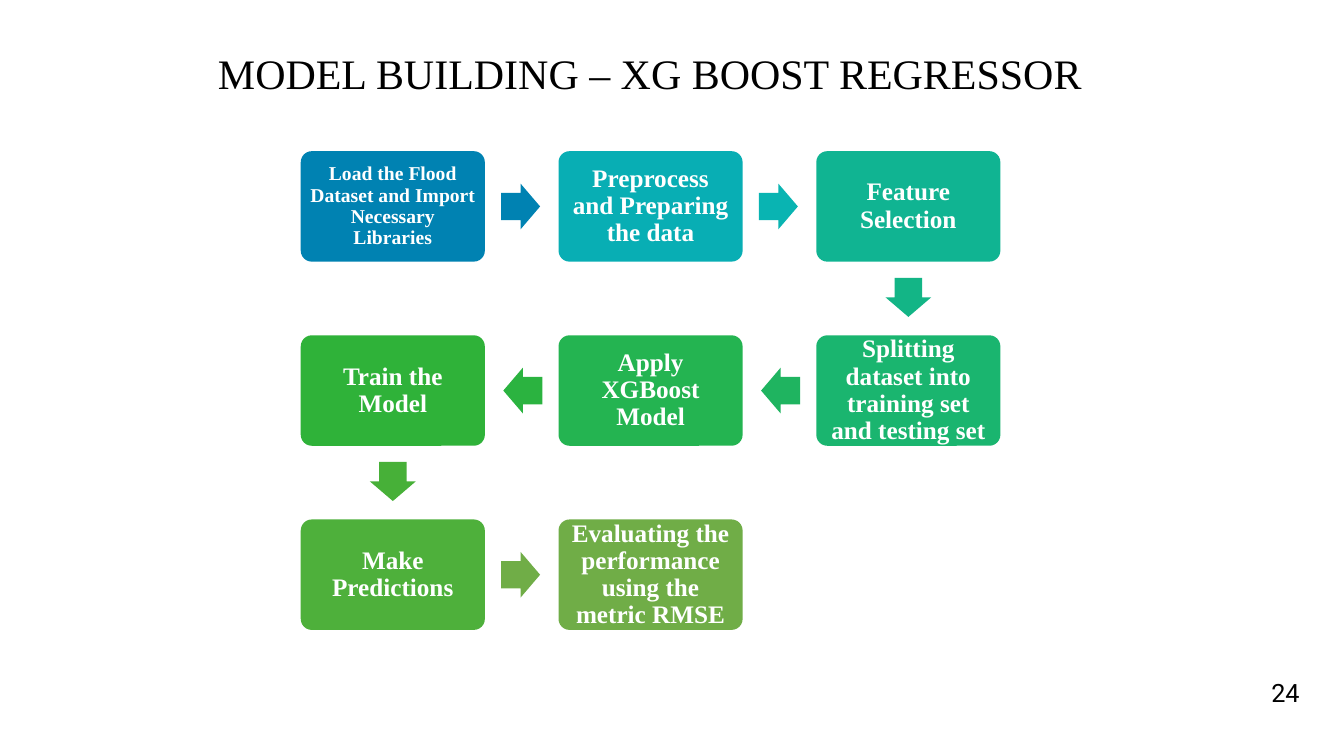
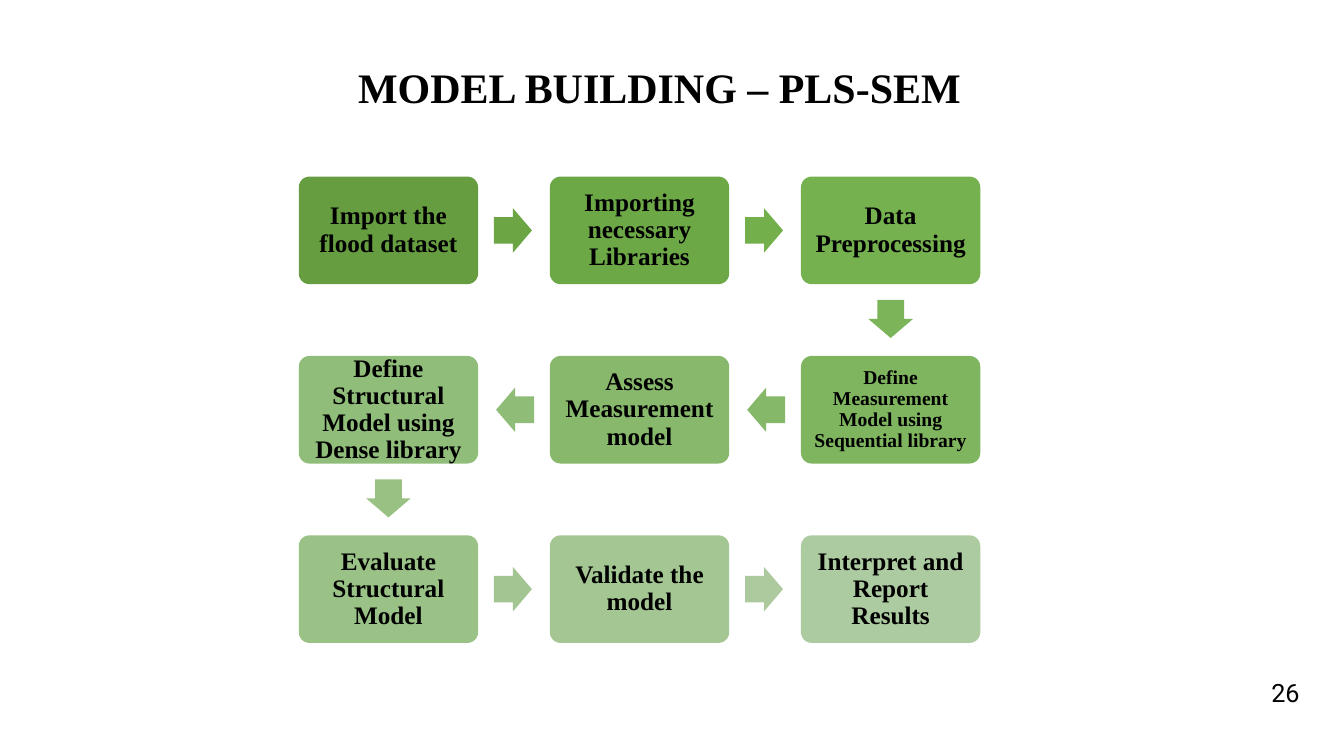
import dataclasses
import math

import pptx
import pptx.dml.color
import pptx.enum.shapes
import pptx.enum.text
import pptx.util

Cm = pptx.util.Cm
Kind = pptx.enum.shapes.MSO_SHAPE


@dataclasses.dataclass(frozen=True)
class Theme:
    serif: str = "Times New Roman"
    sans: str = "Roboto"
    black: str = "000000"
    white: str = "FFFFFF"
    head: int = 30
    body: int = 18
    small: int = 14


THEME = Theme()
COLS = 3

# Each step: text, box colour, colour of the arrow leading to it, type size
BOOST = [
    ("Load the Flood Dataset and Import Necessary Libraries", "0082B2", None, THEME.small),
    ("Preprocess and Preparing the data", "08AEB4", "0082B2", THEME.body),
    ("Feature Selection", "10B492", "09B4B2", THEME.body),
    ("Splitting dataset into training set and testing set", "1AB56F", "13B586", THEME.body),
    ("Apply XGBoost Model", "24B451", "1FB460", THEME.body),
    ("Train the Model", "2FB239", "2BB340", THEME.body),
    ("Make Predictions", "4EB03B", "47B038", THEME.body),
    ("Evaluating the performance using the metric RMSE", "70AD47", "70AD47", THEME.body),
]
PLS = [
    ("Import the flood dataset", "669D40", None, THEME.body),
    ("Importing necessary Libraries", "6DA847", "6BA544", THEME.body),
    ("Data Preprocessing", "75B14F", "73B04B", THEME.body),
    ("Define Measurement Model using Sequential library", "7EB55E", "7CB559", THEME.small),
    ("Assess Measurement model", "87B86B", "85B868", THEME.body),
    ("Define Structural Model using Dense library", "90BD79", "8FBC76", THEME.body),
    ("Evaluate Structural Model", "9AC186", "99C184", THEME.body),
    ("Validate the model", "A3C693", "A3C592", THEME.body),
    ("Interpret and Report Results", "ADCBA0", "ADCA9F", THEME.body),
]


def write(shape, text, size=THEME.body, font=THEME.serif, color=THEME.black,
          bold=False, space=0.9, inset=None):
    frame = shape.text_frame
    frame.word_wrap = True
    frame.auto_size = pptx.enum.text.MSO_AUTO_SIZE.NONE
    frame.vertical_anchor = pptx.enum.text.MSO_ANCHOR.MIDDLE
    if inset is not None:
        frame.margin_left = frame.margin_right = Cm(inset)
        frame.margin_top = frame.margin_bottom = Cm(inset)
    para = frame.paragraphs[0]
    para.alignment = pptx.enum.text.PP_ALIGN.CENTER
    para.line_spacing = space
    run = para.add_run()
    run.text = text
    run.font.size = pptx.util.Pt(size)
    run.font.name = font
    run.font.bold = bold
    run.font.color.rgb = pptx.dml.color.RGBColor.from_string(color)


def draw(slide, kind, mid, size, fill, adjust):
    """Add a plain filled shape centred on the point mid."""
    (x, y), (w, h) = mid, size
    shape = slide.shapes.add_shape(kind, Cm(x - w / 2), Cm(y - h / 2), Cm(w), Cm(h))
    shape.shadow.inherit = False
    shape.fill.solid()
    shape.fill.fore_color.rgb = pptx.dml.color.RGBColor.from_string(fill)
    shape.line.fill.background()
    for i, value in enumerate(adjust):
        shape.adjustments[i] = value
    return shape


def flow(slide, left, top, wide, steps, ink):
    """Lay the steps out in rows that run right, then left, joined by arrows."""
    high = 0.6 * wide
    last = None
    for i, (text, fill, link, size) in enumerate(steps):
        row, col = divmod(i, COLS)
        if row % 2:
            col = COLS - 1 - col
        mid = (left + wide / 2 + col * 1.4 * wide, top + high / 2 + row * wide)
        if last:
            turn = math.atan2(mid[1] - last[1], mid[0] - last[0])
            dx, dy = math.cos(turn), math.sin(turn)
            gap = 0.194 * wide
            spot = (last[0] + dx * (wide / 2 + gap), last[1] + dy * (high / 2 + gap))
            arrow = draw(slide, Kind.RIGHT_ARROW, spot,
                         (0.212 * wide, 0.248 * wide), link, (0.6, 0.5))
            arrow.rotation = math.degrees(turn)
        box = draw(slide, Kind.ROUNDED_RECTANGLE, mid, (wide, high), fill, (0.1,))
        write(box, text, size=size, color=ink, bold=True,
              inset=0.15 if size == THEME.small else 0.18)
        last = mid


def title(slide, text, box, bold):
    head = slide.shapes.title
    head.left, head.top, head.width, head.height = map(Cm, box)
    write(head, text, size=THEME.head, bold=bold)


def number(slide, text):
    box = slide.shapes.add_textbox(Cm(31.57), Cm(16.94), Cm(1.65), Cm(1.02))
    write(box, text, font=THEME.sans, space=1.0)


def page(deck, name, area, bold, num, chart):
    slide = deck.slides.add_slide(deck.slide_layouts[5])
    title(slide, name, area, bold)
    number(slide, num)
    flow(slide, **chart)


def main():
    deck = pptx.Presentation()
    deck.slide_width, deck.slide_height = Cm(33.87), Cm(19.05)
    page(deck, "MODEL BUILDING – XG BOOST REGRESSOR", (0.84, 0.64, 31.09, 2.54), False, "24",
         dict(left=7.58, top=3.81, wide=4.64, steps=BOOST, ink=THEME.white))
    page(deck, "MODEL BUILDING – PLS-SEM", (1.93, 1.09, 29.39, 2.34), True, "26",
         dict(left=7.53, top=4.45, wide=4.52, steps=PLS, ink=THEME.black))
    deck.save("out.pptx")


if __name__ == "__main__":
    main()
